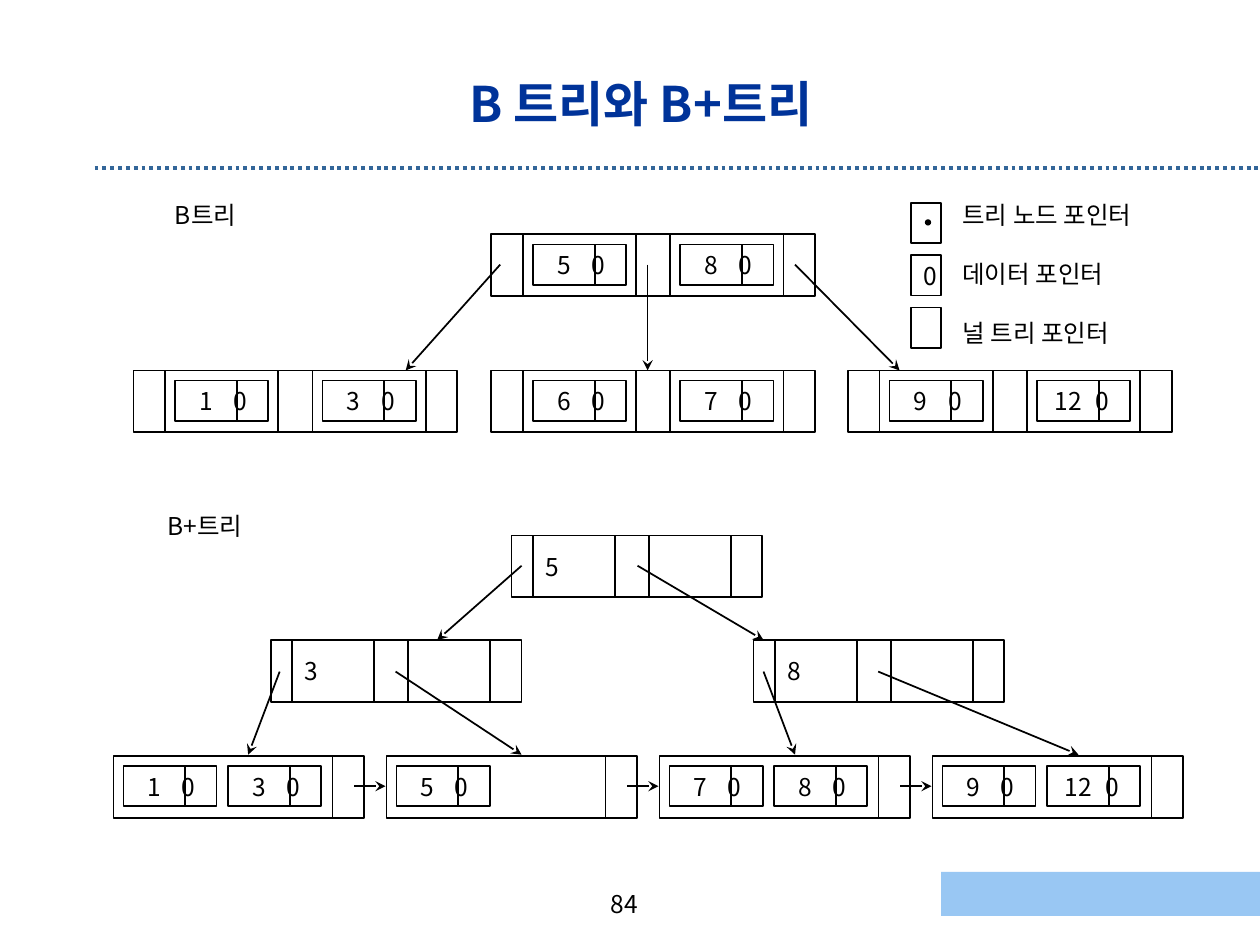
from lxml.etree import SubElement
from pptx import Presentation
from pptx.dml.color import RGBColor
from pptx.enum.dml import MSO_LINE
from pptx.enum.shapes import MSO_CONNECTOR, MSO_SHAPE
from pptx.enum.text import MSO_ANCHOR, PP_ALIGN
from pptx.oxml.ns import qn
from pptx.util import Inches, Pt

FONT = "Noto Sans CJK KR"
BLACK = RGBColor(0x00, 0x00, 0x00)
WHITE = RGBColor(0xFF, 0xFF, 0xFF)
NAVY = RGBColor(0x00, 0x33, 0x99)
STEEL = RGBColor(0x33, 0x66, 0x99)
SKY = RGBColor(0x99, 0xC7, 0xF3)

# Content: left, top and keys of every node
TITLE = "B 트리와 B+트리"
PAGE_NUMBER = "84"
B_NODES = [
    (3.9, 1.86, ("5", "8")),
    (3.9, 2.94, ("6", "7")),
    (6.73, 2.94, ("9", "12")),
    (1.06, 2.94, ("1", "3")),
]
INDEX_NODES = [(4.06, 4.25, "5"), (2.15, 5.08, "3"), (5.98, 5.08, "8")]
LEAVES = [("1", "3"), ("5",), ("7", "8"), ("9", "12")]
LEGEND = ["트리 노드 포인터", "데이터 포인터", "널 트리 포인터"]

# Tree pointers: start x, start y, end x, end y
POINTERS = [
    (3.97, 2.1, 3.22, 2.94), (5.14, 2.1, 5.14, 2.94), (6.31, 2.1, 7.14, 2.94),
    (4.14, 4.49, 3.47, 5.08), (5.06, 4.49, 6.06, 5.08),
    (2.22, 5.33, 1.97, 5.99), (3.14, 5.33, 4.14, 5.99),
    (6.06, 5.33, 6.31, 5.99), (6.97, 5.33, 8.56, 5.99),
]

NODE_HEIGHT = 0.49
KEY_WIDTH, KEY_HEIGHT, KEY_INSET, KEY_SPLIT = 0.74, 0.32, 0.08, 0.49
LEAF_LEFT, LEAF_TOP, LEAF_WIDTH, LEAF_PITCH = 0.9, 6.0, 1.99, 6.5 / 3

deck = Presentation()
deck.slide_width, deck.slide_height = Inches(10), Inches(7.5)
page = deck.slides.add_slide(deck.slide_layouts[5])


def style(para, size=14, color=BLACK, bold=False):
    for span in para.runs:
        span.font.size, span.font.bold = Pt(size), bold
        span.font.color.rgb = color
        span.font.name = FONT
        SubElement(span._r.get_or_add_rPr(), qn("a:ea")).set("typeface", FONT)


def add_box(left, top, width, height, text="", fill=WHITE, line=BLACK, kind=MSO_SHAPE.RECTANGLE):
    box = page.shapes.add_shape(kind, Inches(left), Inches(top), Inches(width), Inches(height))
    box.shadow.inherit = False
    box.fill.solid()
    box.fill.fore_color.rgb = fill
    if line is None:
        box.line.fill.background()
    else:
        box.line.color.rgb, box.line.width = line, Pt(1)
    if text:
        frame = box.text_frame
        frame.text = text
        frame.word_wrap = False
        frame.vertical_anchor = MSO_ANCHOR.MIDDLE
        frame.paragraphs[0].alignment = PP_ALIGN.LEFT
        style(frame.paragraphs[0])
    return box


def add_line(x1, y1, x2, y2, arrow=False, color=BLACK, width=1):
    line = page.shapes.add_connector(
        MSO_CONNECTOR.STRAIGHT, Inches(x1), Inches(y1), Inches(x2), Inches(y2))
    line.line.color.rgb, line.line.width = color, Pt(width)
    if arrow:
        SubElement(line.line._get_or_add_ln(), qn("a:tailEnd")).set("type", "stealth")
    SubElement(line._element.spPr, qn("a:effectLst"))
    return line


def add_label(left, top, width, height, lines, align=PP_ALIGN.LEFT, gap=0, wrap=False):
    frame = page.shapes.add_textbox(
        Inches(left), Inches(top), Inches(width), Inches(height)).text_frame
    frame.word_wrap = wrap
    frame.text = "\n".join(lines)
    for index, para in enumerate(frame.paragraphs):
        para.alignment = align
        if index:
            para.space_before = Pt(gap)
        style(para)


def add_key(left, top, key):
    """A key with its data pointer, centred on two tab stops."""
    box = add_box(left, top, KEY_WIDTH, KEY_HEIGHT, f"\t{key}\t0")
    box.text_frame.word_wrap = True
    tabs = SubElement(box.text_frame.paragraphs[0]._p.get_or_add_pPr(), qn("a:tabLst"))
    for position in (0.15, 0.42):
        tab = SubElement(tabs, qn("a:tab"))
        tab.set("pos", str(Inches(position)))
        tab.set("algn", "ctr")
    add_line(left + KEY_SPLIT, top, left + KEY_SPLIT, top + KEY_HEIGHT)


# Title, rule, corner bar and page number
rule = add_line(0.75, 1.33, 10, 1.33, color=STEEL, width=2.25)
rule.line.dash_style = MSO_LINE.ROUND_DOT
add_box(7.47, 6.92, 2.53, 0.35, fill=SKY, line=None)
add_label(4.08, 7.01, 1.75, 0.36, [PAGE_NUMBER], PP_ALIGN.CENTER)
title = page.shapes.title
title.left, title.top, title.width, title.height = map(Inches, (0.5, 0.31, 9.17, 1.02))
title.text_frame.text = TITLE
title.text_frame.vertical_anchor = MSO_ANCHOR.MIDDLE
title.text_frame.paragraphs[0].alignment = PP_ALIGN.CENTER
style(title.text_frame.paragraphs[0], 28, NAVY, True)

# B tree
add_label(1.29, 1.54, 0.7, 0.34, ["B트리"], wrap=True)
for left, top, keys in B_NODES:
    add_box(left, top, 2.57, NODE_HEIGHT)
    for index, key in enumerate(keys):
        cell = left + 0.25 + 1.17 * index
        add_box(cell, top, 0.9, NODE_HEIGHT)
        add_key(cell + KEY_INSET, top + KEY_INSET, key)

# B+ tree index nodes
add_label(1.23, 4.01, 0.85, 0.34, ["B+트리"])
for left, top, key in INDEX_NODES:
    add_box(left, top, 1.99, NODE_HEIGHT)
    for index, text in enumerate((key, "")):
        add_box(left + 0.17 + 0.92 * index, top, 0.65, NODE_HEIGHT, text)

# B+ tree leaves, chained from left to right
for number, keys in enumerate(LEAVES):
    left = LEAF_LEFT + LEAF_PITCH * number
    add_box(left, LEAF_TOP, LEAF_WIDTH, NODE_HEIGHT)
    for index, key in enumerate(keys):
        add_key(left + KEY_INSET + 0.83 * index, LEAF_TOP + KEY_INSET, key)
    add_line(left + 1.74, LEAF_TOP, left + 1.74, LEAF_TOP + NODE_HEIGHT)
for number in range(len(LEAVES) - 1):
    start = LEAF_LEFT + LEAF_PITCH * number + 1.91
    add_line(start, 6.24, start + 0.25, 6.24, arrow=True)

for pointer in POINTERS:
    add_line(*pointer, arrow=True)

# Legend
for index, symbol in enumerate(("", "0", "")):
    add_box(7.23, 1.61 + 0.415 * index, 0.24, KEY_HEIGHT, symbol)
add_box(7.34, 1.74, 0.05, 0.05, fill=BLACK, line=None, kind=MSO_SHAPE.OVAL)
add_label(7.54, 1.54, 1.67, 1.26, LEGEND, gap=16.8)

deck.save("out.pptx")
